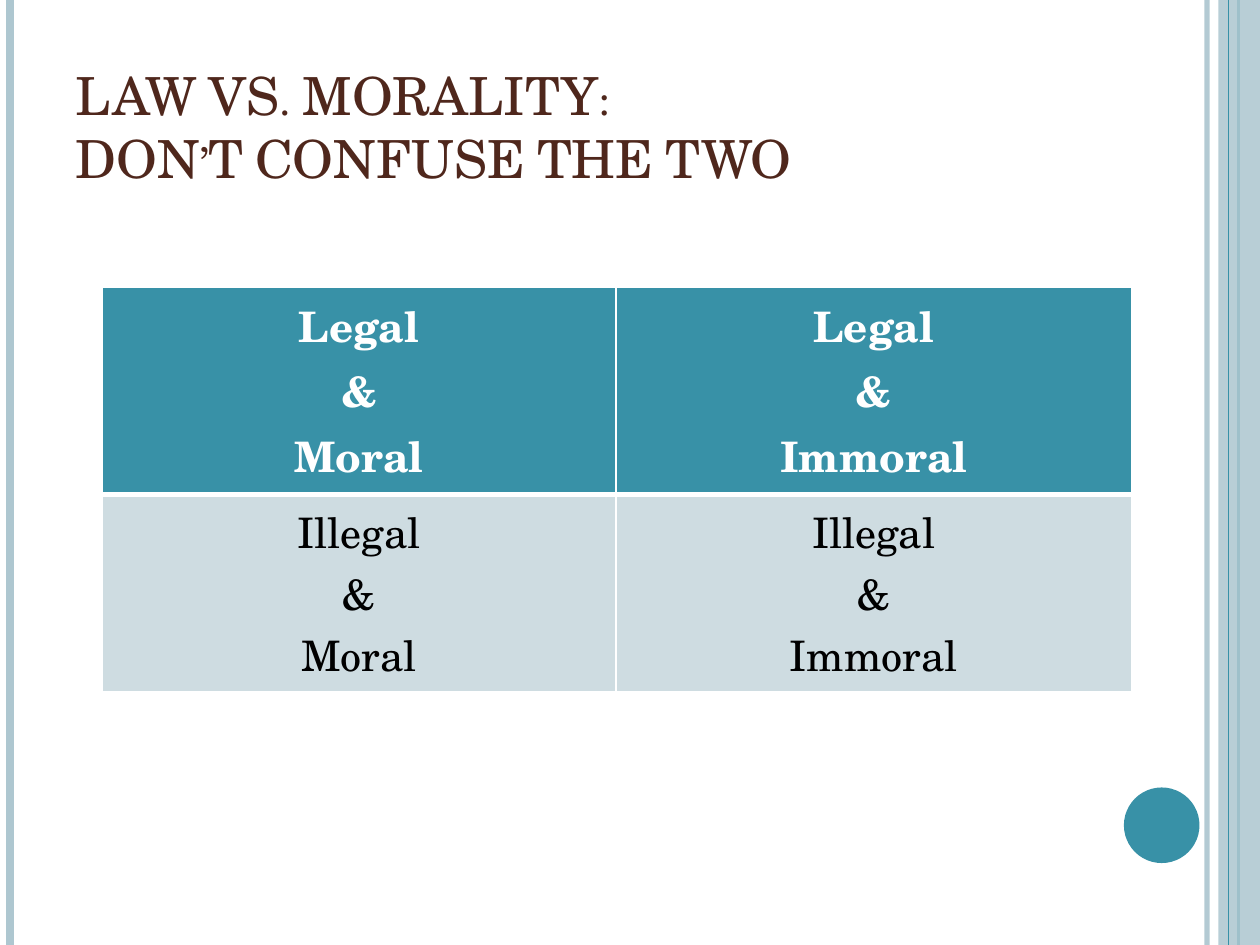
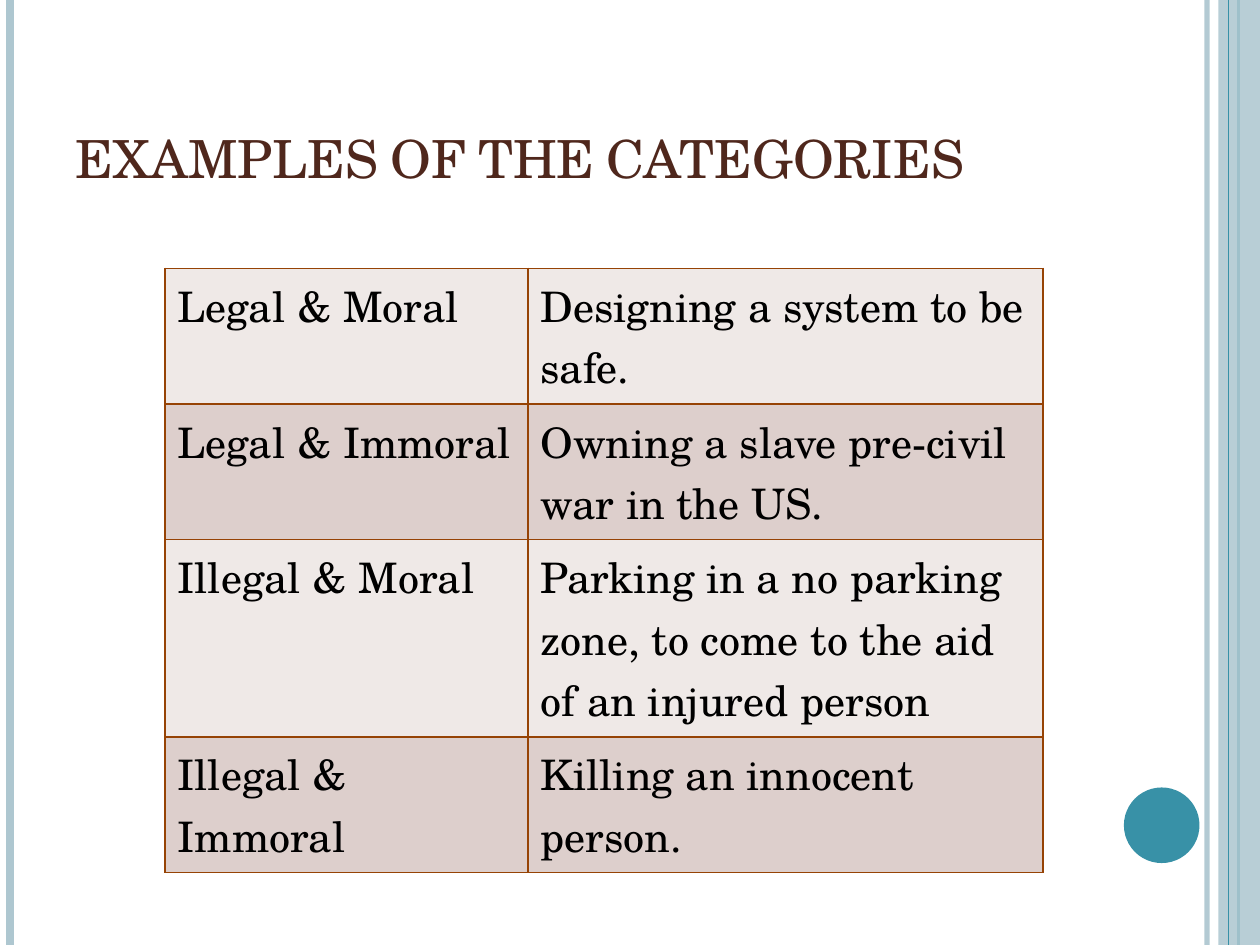
"""Build two slides that contrast law and morality."""
import pptx
import pptx.dml.color
import pptx.enum.dml
import pptx.enum.shapes
import pptx.enum.text
import pptx.oxml.ns
import pptx.util
from lxml import etree

Inches = pptx.util.Inches
Pt = pptx.util.Pt
RGBColor = pptx.dml.color.RGBColor
qn = pptx.oxml.ns.qn
PP_ALIGN = pptx.enum.text.PP_ALIGN
MSO_SHAPE = pptx.enum.shapes.MSO_SHAPE

FONT = "TeX Gyre Schola"
TEAL = RGBColor(0x38, 0x91, 0xA7)
PALE_BLUE = RGBColor(0xAE, 0xC7, 0xD0)
LIGHT_BLUE = RGBColor(0xCE, 0xDC, 0xE1)
BROWN = RGBColor(0x4F, 0x27, 0x1C)
RUST = RGBColor(0x96, 0x43, 0x05)
CREAM = RGBColor(0xEF, 0xE9, 0xE7)
ROSE = RGBColor(0xDD, 0xCF, 0xCC)
WHITE = RGBColor(0xFF, 0xFF, 0xFF)
BLACK = RGBColor(0, 0, 0)


def set_alpha(element, percent):
    color = next(element.iter(qn("a:srgbClr")))
    etree.SubElement(color, qn("a:alpha")).set("val", str(percent * 1000))


def style_cell(cell, fill, border, widths, color, bold, align):
    tcPr = cell._tc.get_or_add_tcPr()
    for side, width in zip("LRTB", widths):
        ln = etree.SubElement(tcPr, qn(f"a:ln{side}"), w=str(Pt(width)))
        solid = etree.SubElement(ln, qn("a:solidFill"))
        etree.SubElement(solid, qn("a:srgbClr"), val=str(border))
    cell.fill.solid()
    cell.fill.fore_color.rgb = fill
    for p in cell.text_frame.paragraphs:
        p.alignment = align
        for r in p.runs:
            r.font.name = FONT
            r.font.size = Pt(24)
            r.font.bold = bold
            r.font.color.rgb = color


prs = pptx.Presentation()
prs.slide_width = Inches(10)
prs.slide_height = Inches(7.5)

titles = ["LAW VS. MORALITY:\vDON’T CONFUSE THE TWO", "EXAMPLES OF THE CATEGORIES"]
rules = [
    (9.58, PALE_BLUE, 3, 93),
    (0.08, PALE_BLUE, 4.5, 100),
    (9.83, TEAL, 1.5, 100),
    (9.75, TEAL, 0.75, 100),
]
decorations = [
    (MSO_SHAPE.RECTANGLE, 9.67, 0, 0.33, 7.5, PALE_BLUE, 87),
    (MSO_SHAPE.OVAL, 8.92, 6.25, 0.6, 0.6, TEAL, 100),
]

for title in titles:
    s = prs.slides.add_slide(prs.slide_layouts[5])
    for i, (x, color, width, alpha) in enumerate(rules):
        if i == 3:
            for kind, left, top, w, h, fill, opacity in decorations:
                sp = s.shapes.add_shape(kind, Inches(left), Inches(top), Inches(w), Inches(h))
                sp.shadow.inherit = False
                sp.fill.solid()
                sp.fill.fore_color.rgb = fill
                sp.line.fill.background()
                if opacity < 100:
                    set_alpha(sp._element.spPr, opacity)
        line = s.shapes.add_connector(
            pptx.enum.shapes.MSO_CONNECTOR.STRAIGHT, Inches(x), 0, Inches(x), prs.slide_height
        )
        line.line.color.rgb = color
        line.line.width = Pt(width)
        if alpha < 100:
            set_alpha(line._element.spPr, alpha)
        etree.SubElement(line._element.spPr, qn("a:effectLst"))

    sp = s.shapes.title
    sp.left, sp.top, sp.width, sp.height = Inches(0.5), Inches(0.3), Inches(8.17), Inches(1.25)
    tf = sp.text_frame
    tf.text = title
    tf.word_wrap = True
    tf.auto_size = pptx.enum.text.MSO_AUTO_SIZE.NONE
    tf.vertical_anchor = pptx.enum.text.MSO_ANCHOR.BOTTOM
    p = tf.paragraphs[0]
    p.alignment = PP_ALIGN.LEFT
    for r in p.runs:
        r.font.name = FONT
        r.font.size = Pt(30)
        r.font.color.rgb = BROWN
        r._r.get_or_add_rPr().set("cap", "small")

law_slide, examples_slide = prs.slides

table = law_slide.shapes.add_table(
    2, 2, Inches(0.81), Inches(2.28), Inches(8.17), Inches(2.6)
).table
table.first_row = table.horz_banding = False
table.columns[0].width, table.columns[1].width = Inches(4.08), Inches(4.09)
row_styles = [
    ("Legal", TEAL, WHITE, True, (1, 1, 1, 3)),
    ("Illegal", LIGHT_BLUE, BLACK, False, (1, 1, 3, 1)),
]
for row, (legality, fill, color, bold, widths) in enumerate(row_styles):
    for col, morality in enumerate(["Moral", "Immoral"]):
        cell = table.cell(row, col)
        cell.text_frame.text = f"{legality}\n&\n{morality}"
        style_cell(cell, fill, WHITE, widths, color, bold, PP_ALIGN.CENTER)

examples = [
    ("Legal & Moral", "Designing a system to be safe.", 0.9),
    ("Legal & Immoral", "Owning a slave pre-civil war in the US.", 0.9),
    ("Illegal & Moral", "Parking in a no parking zone, to come to the aid of an injured person", 1.3),
    ("Illegal & Immoral", "Killing an innocent person.", 1.01),
]
table = examples_slide.shapes.add_table(
    4, 2, Inches(1.31), Inches(2.13), Inches(6.97), Inches(4.11)
).table
table.first_row = table.horz_banding = False
table.columns[0].width, table.columns[1].width = Inches(2.88), Inches(4.09)
for row, (category, example, height) in enumerate(examples):
    table.rows[row].height = Inches(height)
    for col, text in enumerate([category, example]):
        cell = table.cell(row, col)
        cell.text_frame.text = text
        style_cell(cell, [CREAM, ROSE][row % 2], RUST, (1, 1, 1, 1), BLACK, False, PP_ALIGN.LEFT)

prs.save("out.pptx")
